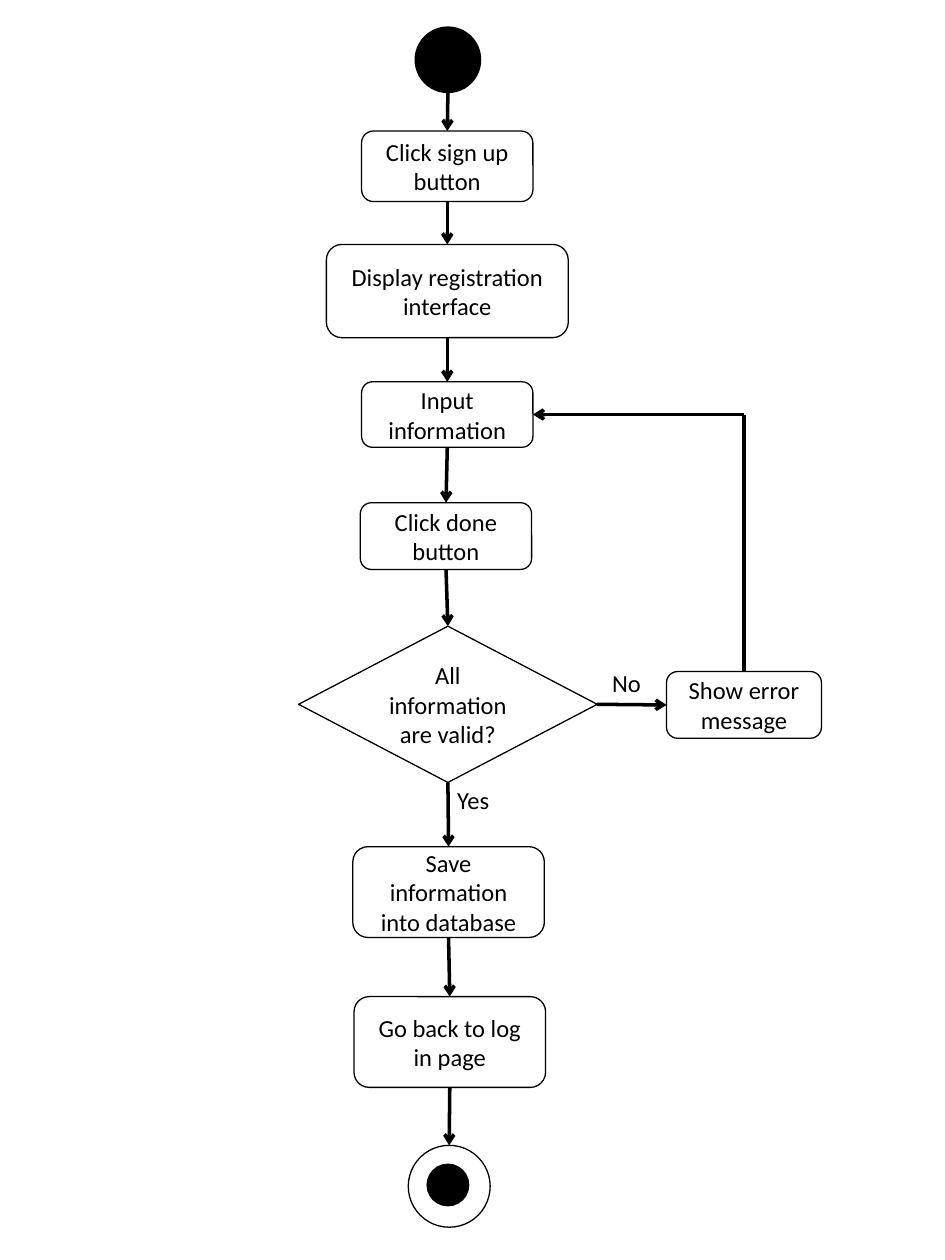
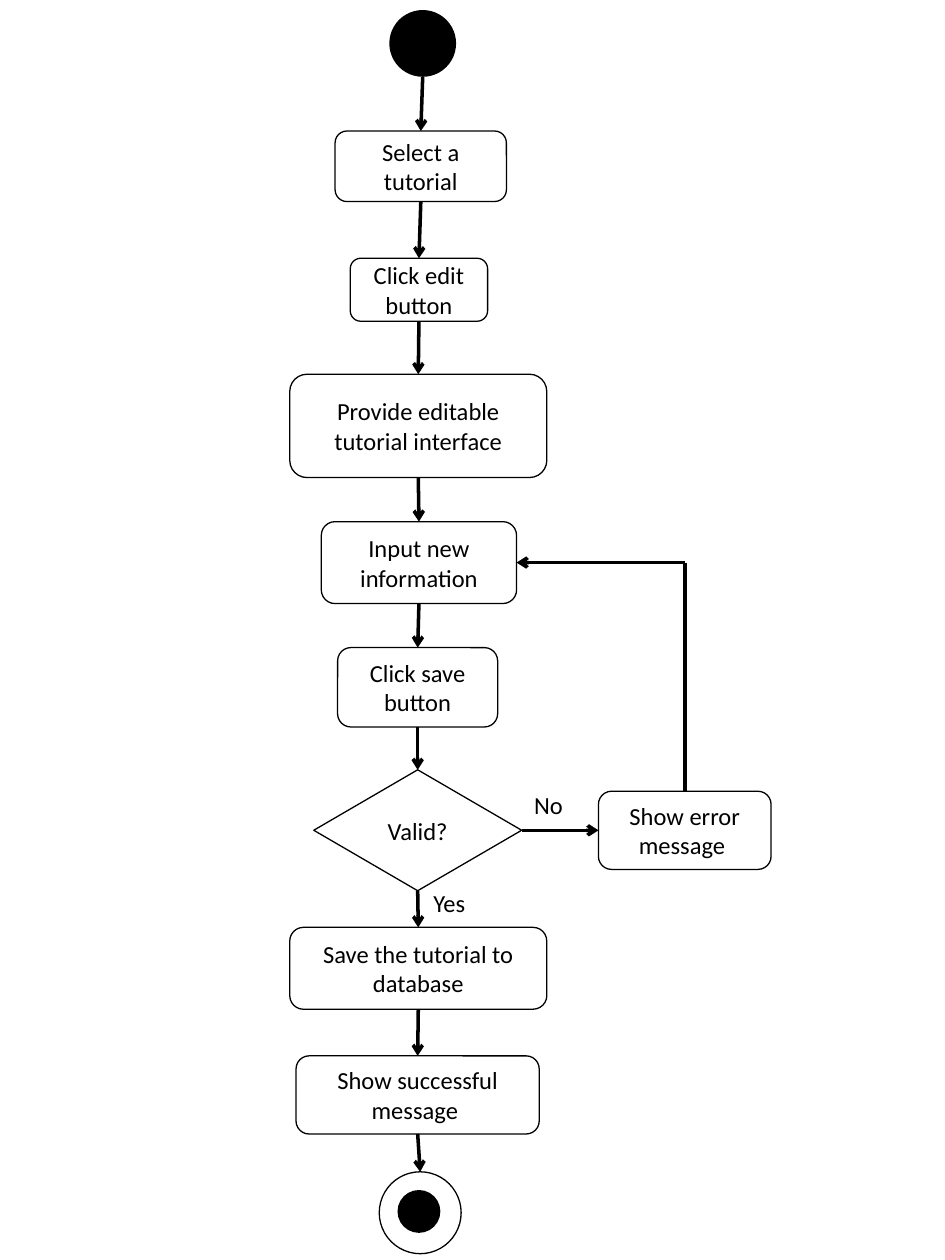
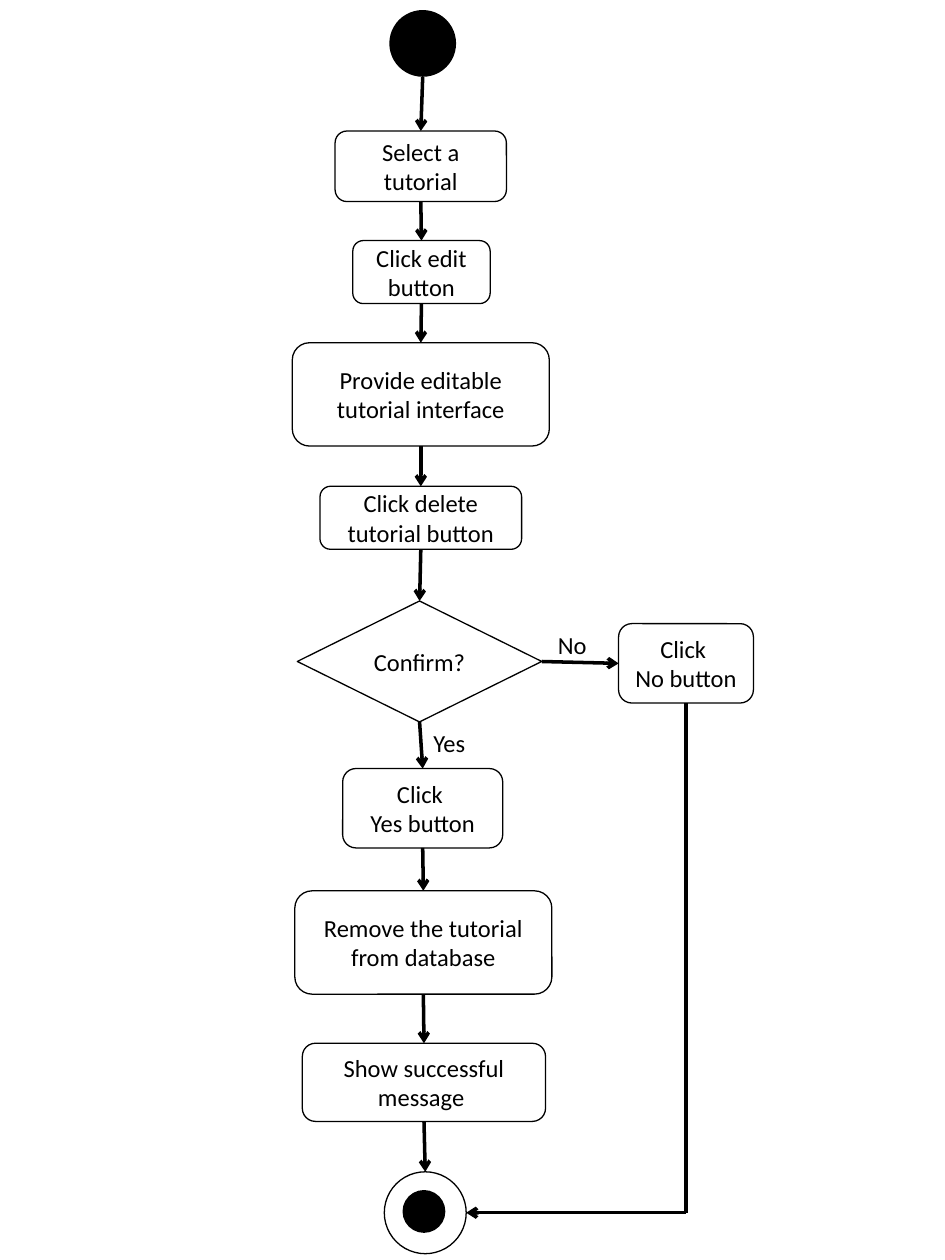
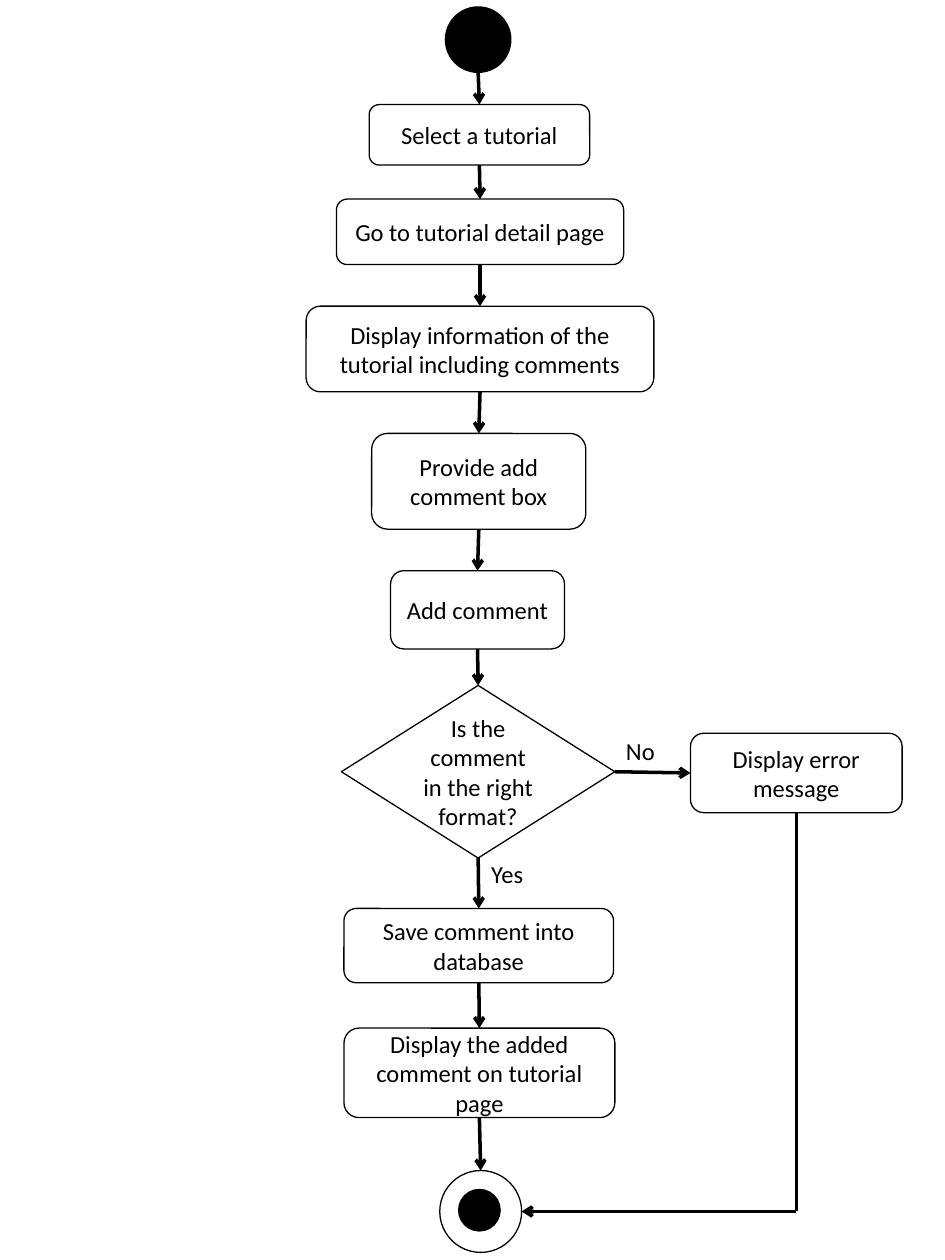
from lxml import etree
from pptx import Presentation
from pptx import util as u
from pptx.dml.color import RGBColor
from pptx.enum import shapes, text
from pptx.oxml import ns

COLORS = {"ink": "000000", "paper": "FFFFFF"}
START_SIZE, RING_SIZE, CORE_SIZE = 0.53, 0.65, 0.34


def write(frame, content, size=14, font="Calibri", color="ink", align=None, anchor=None):
    """Fill a text frame, one paragraph for each line of content."""
    frame.word_wrap = True
    if anchor is not None:
        frame.vertical_anchor = anchor
    for index, line in enumerate(content.split("\n")):
        paragraph = frame.paragraphs[0] if index == 0 else frame.add_paragraph()
        paragraph.alignment = align
        run = paragraph.add_run()
        run.text = line
        run.font.size = u.Pt(size)
        run.font.name = font
        run.font.color.rgb = RGBColor.from_string(COLORS[color])


def middle(node):
    """Return the centre of a node."""
    return node.left + node.width // 2, node.top + node.height // 2


class ActivityDiagram:
    """Draws activity diagrams, one on each slide."""

    def __init__(self):
        """Open an empty portrait presentation."""
        self.deck = Presentation()
        self.deck.slide_width, self.deck.slide_height = u.Inches(7.5), u.Inches(10)
        self.slide = None

    def new_slide(self):
        """Add a blank slide and make it current."""
        self.slide = self.deck.slides.add_slide(self.deck.slide_layouts[6])

    def node(self, kind, left, top, width, height, content="", fill="paper", outline=True):
        """Add a filled shape with centred text."""
        node = self.slide.shapes.add_shape(kind, *map(u.Inches, (left, top, width, height)))
        node.shadow.inherit = False
        node.fill.solid()
        node.fill.fore_color.rgb = RGBColor.from_string(COLORS[fill])
        if outline:
            node.line.color.rgb = RGBColor.from_string(COLORS["ink"])
            node.line.width = u.Pt(0.75)
        else:
            node.line.fill.background()
        if content:
            write(node.text_frame, content, align=text.PP_ALIGN.CENTER,
                  anchor=text.MSO_ANCHOR.MIDDLE)
        return node

    def disc(self, left, top, size, **style):
        """Add a circle."""
        return self.node(shapes.MSO_SHAPE.OVAL, left, top, size, size, **style)

    def start(self, left, top):
        """Add the solid start circle."""
        return self.disc(left, top, START_SIZE, fill="ink", outline=False)

    def end(self, left, top):
        """Add the ringed end circle."""
        ring = self.disc(left, top, RING_SIZE)
        inset = (RING_SIZE - CORE_SIZE) / 2 - 0.01
        self.disc(left + inset, top + inset, CORE_SIZE, fill="ink", outline=False)
        return ring

    def action(self, content, left, top, width, height):
        """Add a rounded action box."""
        return self.node(shapes.MSO_SHAPE.ROUNDED_RECTANGLE, left, top, width, height, content)

    def decision(self, content, left, top, width, height):
        """Add a decision diamond."""
        return self.node(shapes.MSO_SHAPE.FLOWCHART_DECISION, left, top, width, height, content)

    def label(self, content, left, top, width):
        """Add the label of a branch."""
        box = self.slide.shapes.add_textbox(*map(u.Inches, (left, top, width, 0.34)))
        write(box.text_frame, content)
        box.text_frame.auto_size = text.MSO_AUTO_SIZE.SHAPE_TO_FIT_TEXT

    def line(self, begin, finish, arrow=True):
        """Add a straight line, with an arrowhead at its finish if wanted."""
        line = self.slide.shapes.add_connector(shapes.MSO_CONNECTOR.STRAIGHT, *begin, *finish)
        line.line.color.rgb = RGBColor.from_string(COLORS["ink"])
        line.line.width = u.Pt(2)
        if arrow:
            etree.SubElement(line.line._get_or_add_ln(), ns.qn("a:tailEnd"), type="arrow")
        etree.SubElement(line._element.spPr, ns.qn("a:effectLst"))

    def chain(self, *nodes):
        """Join nodes from top to bottom."""
        for upper, lower in zip(nodes, nodes[1:]):
            self.line((middle(upper)[0], upper.top + upper.height),
                      (middle(lower)[0], lower.top))

    def branch(self, choice, yes, no, refusal, target):
        """Label both answers and lead the refusal back to its target."""
        self.label("Yes", *yes, 0.65)
        self.label("No", *no, 0.47)
        self.line((choice.left + choice.width, middle(choice)[1]),
                  (refusal.left, middle(refusal)[1]))
        corner = middle(refusal)[0], middle(target)[1]
        below = target.top > refusal.top
        exit_y = refusal.top + (refusal.height if below else 0)
        self.line((corner[0], exit_y), corner, arrow=False)
        self.line(corner, (target.left + target.width, corner[1]))


def sign_up(diagram):
    """Draw how a user signs up."""
    diagram.new_slide()
    entry = diagram.action("Input information", 2.87, 3.03, 1.36, 0.52)
    valid = diagram.decision("All information are valid?", 2.37, 4.97, 2.37, 1.24)
    error = diagram.action("Show error message", 5.29, 5.33, 1.23, 0.53)
    diagram.chain(
        diagram.start(3.29, 0.21),
        diagram.action("Click sign up button", 2.87, 1.04, 1.36, 0.56),
        diagram.action("Display registration interface", 2.59, 1.94, 1.92, 0.74),
        entry,
        diagram.action("Click done button", 2.86, 3.99, 1.36, 0.53),
        valid,
        diagram.action("Save information into database", 2.8, 6.72, 1.52, 0.72),
        diagram.action("Go back to log in page", 2.81, 7.91, 1.52, 0.72),
        diagram.end(3.24, 9.09),
    )
    diagram.branch(valid, (3.53, 6.18), (4.76, 5.25), error, entry)


def select_tutorial(diagram):
    """Draw the opening that editing and deleting share."""
    diagram.new_slide()
    return (diagram.start(3.09, 0.08),
            diagram.action("Select a tutorial", 2.66, 1.04, 1.36, 0.56))


def edit_tutorial(diagram):
    """Draw how a tutorial is edited."""
    opening = select_tutorial(diagram)
    entry = diagram.action("Input new information", 2.55, 4.14, 1.55, 0.65)
    valid = diagram.decision("Valid?", 2.49, 6.11, 1.65, 0.96)
    error = diagram.action("Show error message ", 4.75, 6.28, 1.37, 0.62)
    diagram.chain(
        *opening,
        diagram.action("Click edit button", 2.78, 2.05, 1.09, 0.5),
        diagram.action("Provide editable tutorial interface", 2.3, 2.97, 2.04, 0.82),
        entry,
        diagram.action("Click save button", 2.68, 5.14, 1.27, 0.63),
        valid,
        diagram.action("Save the tutorial to database", 2.3, 7.36, 2.04, 0.65),
        diagram.action("Show successful message ", 2.35, 8.38, 1.93, 0.62),
        diagram.end(3.01, 9.3),
    )
    diagram.branch(valid, (3.34, 7), (4.14, 6.22), error, entry)


def delete_tutorial(diagram):
    """Draw how a tutorial is deleted."""
    opening = select_tutorial(diagram)
    confirm = diagram.decision("Confirm?", 2.36, 4.77, 1.94, 0.96)
    refusal = diagram.action("Click \nNo button", 4.91, 4.95, 1.07, 0.63)
    end = diagram.end(3.05, 9.3)
    diagram.chain(
        *opening,
        diagram.action("Click edit button", 2.8, 1.91, 1.09, 0.5),
        diagram.action("Provide editable tutorial interface", 2.32, 2.72, 2.04, 0.82),
        diagram.action("Click delete tutorial button", 2.54, 3.86, 1.6, 0.5),
        confirm,
        diagram.action("Click \nYes button", 2.72, 6.1, 1.27, 0.63),
        diagram.action("Remove the tutorial from database", 2.34, 7.07, 2.04, 0.82),
        diagram.action("Show successful message ", 2.4, 8.28, 1.93, 0.62),
        end,
    )
    diagram.branch(confirm, (3.34, 5.73), (4.33, 4.95), refusal, end)


def add_comment(diagram):
    """Draw how a comment is added."""
    diagram.new_slide()
    valid = diagram.decision("Is the comment in the right format?", 2.71, 5.44, 2.17, 1.37)
    error = diagram.action("Display error message", 5.48, 5.82, 1.68, 0.63)
    end = diagram.end(3.49, 9.29)
    diagram.chain(
        diagram.start(3.53, 0.05),
        diagram.action("Select a tutorial", 2.93, 0.83, 1.75, 0.48),
        diagram.action("Go to tutorial detail page", 2.67, 1.58, 2.28, 0.52),
        diagram.action("Display information of the tutorial including comments",
                       2.43, 2.43, 2.76, 0.68),
        diagram.action("Provide add comment box", 2.95, 3.44, 1.7, 0.76),
        diagram.action("Add comment", 3.1, 4.53, 1.38, 0.62),
        valid,
        diagram.action("Save comment into database", 2.73, 7.21, 2.14, 0.59),
        diagram.action("Display the added comment on tutorial page", 2.73, 8.16, 2.15, 0.71),
        end,
    )
    diagram.branch(valid, (3.8, 6.77), (4.87, 5.79), error, end)


activities = ActivityDiagram()
for draw in (sign_up, edit_tutorial, delete_tutorial, add_comment):
    draw(activities)
activities.deck.save("out.pptx")
